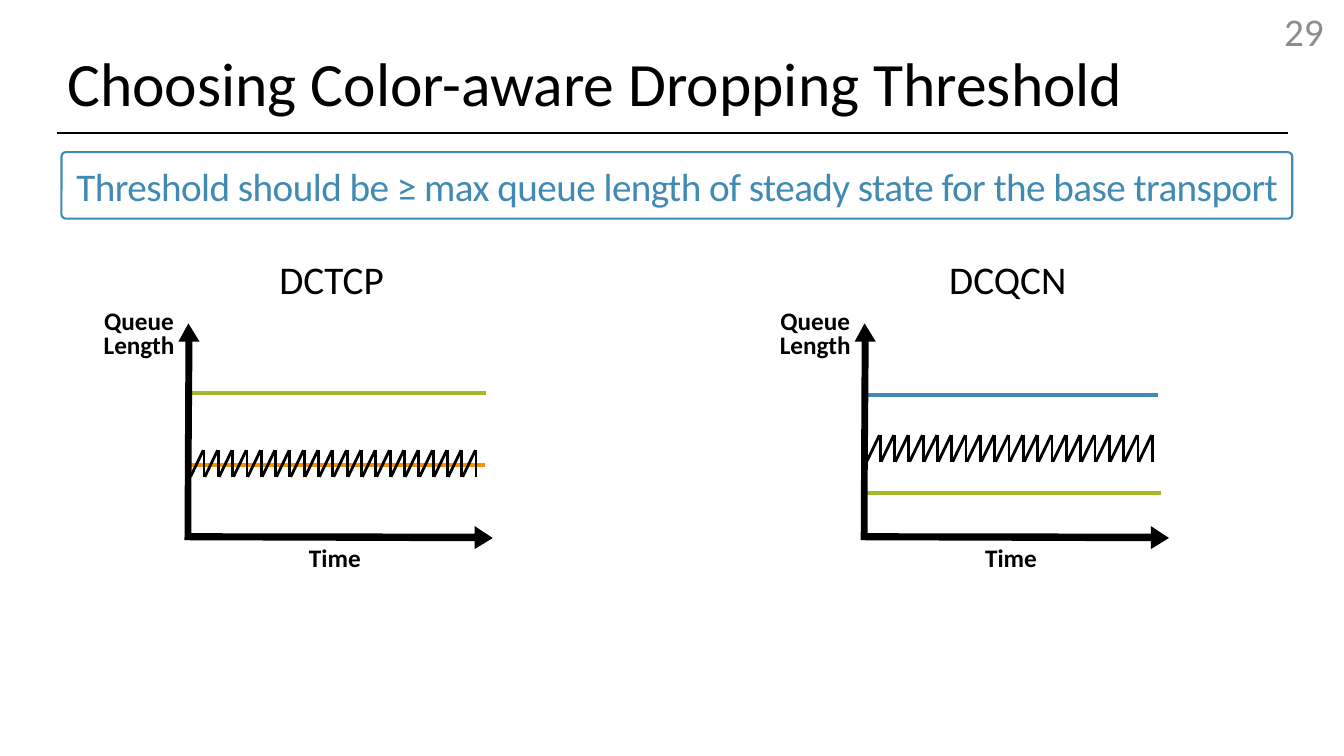
from pptx import Presentation
from pptx.dml.color import RGBColor
from pptx.enum import shapes, text
from pptx.oxml.ns import qn
from pptx.util import Pt
from lxml import etree

BLACK = RGBColor(0x00, 0x00, 0x00)
GREY = RGBColor(0x8C, 0x8C, 0x8C)
BLUE = RGBColor(0x41, 0x8A, 0xB3)
GREEN = RGBColor(0xA6, 0xB7, 0x27)
ORANGE = RGBColor(0xF6, 0x92, 0x00)
FONT = "Calibri"
LEFT, CENTER, RIGHT = text.PP_ALIGN.LEFT, text.PP_ALIGN.CENTER, text.PP_ALIGN.RIGHT
TOP, MIDDLE = text.MSO_ANCHOR.TOP, text.MSO_ANCHOR.MIDDLE

# Content: all lengths in points
TITLE = "Choosing Color-aware Dropping Threshold"
PAGE_NUMBER = "29"
RULE = "Threshold should be ≥ max queue length of steady state for the base transport"

# Level lines are (x from, x to, y, colour), measured from the chart's own left
CHARTS = [
    {"name": "DCTCP", "left": 0, "wave_bottom": 340.6,
     "levels": [(134.6, 346.3, 331.9, ORANGE), (136.1, 347, 280.8, GREEN)]},
    {"name": "DCQCN", "left": 483, "wave_bottom": 329.8,
     "levels": [(134.8, 346.4, 352.1, GREEN), (133.3, 344.3, 282.2, BLUE)]},
]
AXES = [(157.7, 380.9), (136.8, 380.9), (136.8, 339.8), (137.5, 244.1),
        (142.6, 244.1), (134.6, 231), (127.4, 244.1), (132.5, 244.1),
        (131.8, 384.5), (131.8, 385.9), (339.1, 386.6), (339.1, 392.2),
        (352, 384.3), (339.1, 375.8), (339.1, 381.2)]
WAVE_LEFT, WAVE_HEIGHT = 136.1, 19
TEETH, PITCH, RISE, DROP = 20, 10.23, 9.1, 9.6

deck = Presentation()
deck.slide_width, deck.slide_height = Pt(960), Pt(540)
page = deck.slides.add_slide(deck.slide_layouts[6])


def fill_text(box, words, size, color=BLACK, align=CENTER, anchor=TOP,
              spacing=1.0, bold=False, wrap=True):
    frame = box.text_frame
    frame.word_wrap = wrap
    frame.vertical_anchor = anchor
    para = frame.paragraphs[0]
    para.text = words
    para.alignment, para.line_spacing = align, spacing
    for span in para.runs:
        for key, value in {"name": FONT, "size": Pt(size), "bold": bold}.items():
            setattr(span.font, key, value)
        span.font.color.rgb = color
    return para


def add_text(x, y, width, height, words, size, **style):
    box = page.shapes.add_textbox(Pt(x), Pt(y), Pt(width), Pt(height))
    fill_text(box, words, size, **style)


def add_line(parent, x1, y1, x2, y2, color, weight):
    line = parent.shapes.add_connector(
        shapes.MSO_CONNECTOR.STRAIGHT, Pt(x1), Pt(y1), Pt(x2), Pt(y2))
    line.line.color.rgb, line.line.width = color, Pt(weight)
    etree.SubElement(line._element.spPr, qn("a:effectLst"))


def add_axes(left):
    points = [(Pt(left + x), Pt(y)) for x, y in AXES]
    builder = page.shapes.build_freeform(*points[0], scale=1.0)
    builder.add_line_segments(points[1:], close=True)
    axes = builder.convert_to_shape()
    axes.shadow.inherit = False
    axes.fill.solid()
    axes.fill.fore_color.rgb = BLACK
    axes.line.fill.background()


def add_wave(left, bottom):
    wave = page.shapes.add_group_shape()
    top = bottom - WAVE_HEIGHT
    for tooth in range(TEETH):
        x = left + WAVE_LEFT + tooth * PITCH
        add_line(wave, x, bottom, x + RISE, top, BLACK, 2)
        add_line(wave, x + DROP, bottom, x + DROP, top, BLACK, 2)


# Header
add_text(881.3, 4.3, 71.3, 36, PAGE_NUMBER, 28, color=GREY, align=RIGHT, anchor=MIDDLE)
add_text(41, 14.4, 879.1, 94.3, TITLE, 44, align=LEFT, anchor=MIDDLE, spacing=0.9)
add_line(page, 41, 95, 920.2, 95, BLACK, 1)

# Threshold rule
banner = page.shapes.add_shape(shapes.MSO_SHAPE.ROUNDED_RECTANGLE,
                               Pt(43.9), Pt(108.7), Pt(879.1), Pt(47.5))
banner.adjustments[0] = 0.065
banner.shadow.inherit = False
banner.fill.background()
banner.line.color.rgb, banner.line.width = BLUE, Pt(1.5)
rule = fill_text(banner, RULE, 28, color=BLUE, anchor=MIDDLE, wrap=False)
rule.runs[0].font._element.set("spc", "-40")

# Queue length charts
for chart in CHARTS:
    left = chart["left"]
    for start, end, y, color in chart["levels"]:
        add_line(page, left + start, y, left + end, y, color, 3)
    add_text(left + 141.1, 178.6, 191.5, 41, chart["name"], 28)
    add_text(left + 33.1, 218.9, 132.5, 46.1, "Queue\vLength", 18, spacing=0.8, bold=True)
    add_axes(left)
    add_wave(left, chart["wave_bottom"])
    add_text(left + 211.5, 383.5, 55.4, 24.5, "Time", 18, bold=True)

deck.save("out.pptx")
